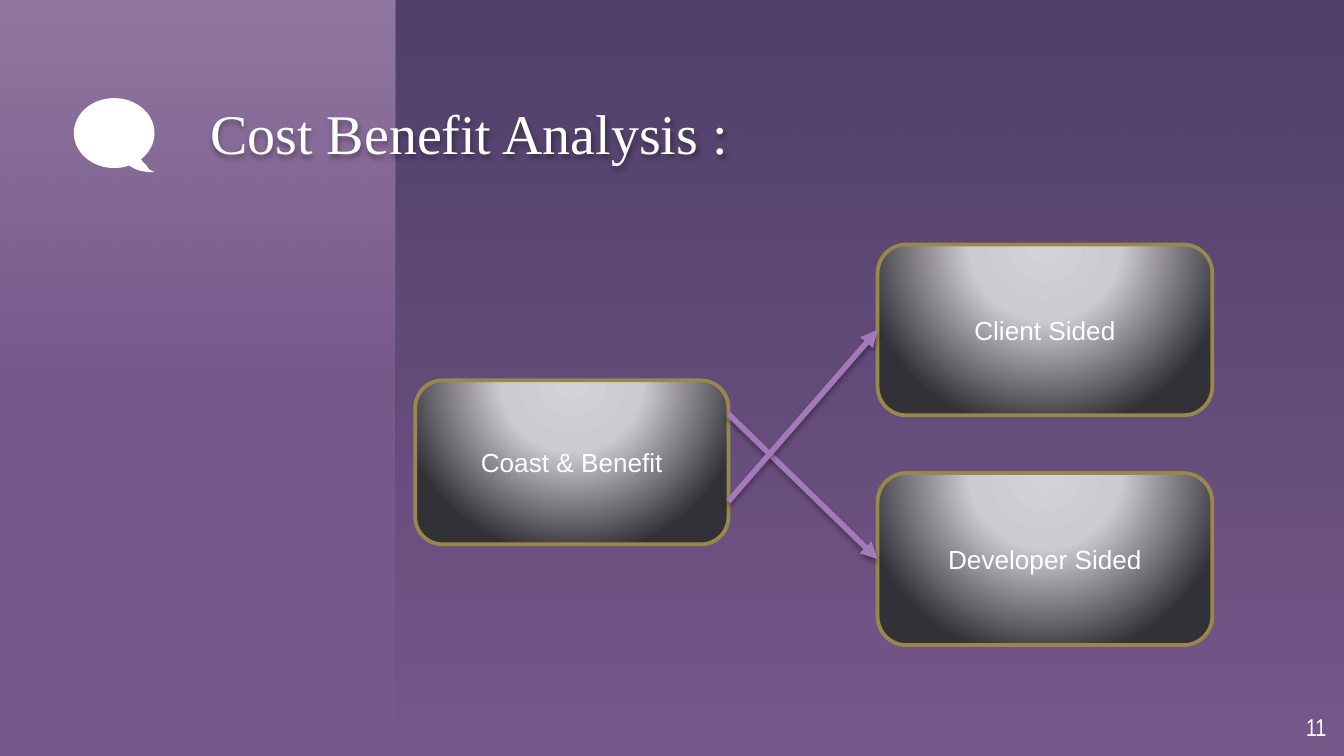
import math
from pptx import Presentation
from pptx import util as u
from pptx.dml.color import RGBColor
from pptx.enum import shapes, text
from pptx.oxml import parse_xml
from pptx.oxml.ns import nsdecls, qn

THEME = {
    "bg": "77588B", "white": "FFFFFF", "border": "98894B", "arrow": "A379BB",
    "title": ("Times New Roman", 30), "label": ("Arial", 14), "number": ("Arial Narrow", 13),
    "border_pt": 2, "arrow_pt": 3,
}
TITLE = ("Cost Benefit Analysis :", (1.15, 0.73, 4.27, 0.67))
NUMBER = ("11", (9.27, 5.19, 0.6, 0.43))
DOWN = '<a:lin ang="5400000" scaled="0"/>'
GLOW = '<a:path path="circle"><a:fillToRect l="50000" t="-80000" r="50000" b="180000"/></a:path>'
PANELS = [
    ((2.94, -0.01, 7.06, 5.64), [(0, "020F2B", 34), (100, "010C16", 0)]),
    ((-0.01, -0.01, 2.95, 2.83), [(0, "FFFFFF", 19), (100, "FFFFFF", 0)]),
]
BOX_STOPS = [(0, "D3D2D6", 100), (40, "CCCBCF", 100), (100, "333138", 100)]
BOXES = [
    ("Coast & Benefit", (3.09, 2.83, 2.33, 1.22)),
    ("Client Sided", (6.53, 1.82, 2.49, 1.27)),
    ("Developer Sided", (6.53, 3.52, 2.49, 1.28)),
]
ARROWS = [((5.42, 3.08), "Developer Sided"), ((5.42, 3.73), "Client Sided")]
BUBBLE = {"center": (0.85, 0.99), "radius": (0.3, 0.26), "arc": range(68, 409, 4)}
BUBBLE_TAIL = [(1.06, 1.2), (1.09, 1.23), (1.11, 1.26), (1.15, 1.28),
               (1.1, 1.28), (1.04, 1.27), (0.99, 1.25)]


def rgb(name):
    return RGBColor.from_string(THEME[name])


def inches(values):
    return [u.Inches(v) for v in values]


def set_gradient(sp, stops, direction):
    sp.fill.background()
    gs = "".join(
        f'<a:gs pos="{pos * 1000}"><a:srgbClr val="{color}"><a:alpha val="{alpha * 1000}"/>'
        f'</a:srgbClr></a:gs>' for pos, color, alpha in stops)
    grad = parse_xml(f'<a:gradFill {nsdecls("a")} rotWithShape="1">'
                     f'<a:gsLst>{gs}</a:gsLst>{direction}</a:gradFill>')
    spPr = sp.element.spPr
    spPr.replace(spPr.find(qn("a:noFill")), grad)


def add_shadow(sp):
    sp.element.spPr.append(parse_xml(
        f'<a:effectLst {nsdecls("a")}><a:outerShdw blurRad="{u.Pt(3.1)}" dist="{u.Pt(1.8)}" '
        'dir="5400000" rotWithShape="0"><a:srgbClr val="000000"><a:alpha val="35000"/>'
        '</a:srgbClr></a:outerShdw></a:effectLst>'))


def write(sp, words, style, align, inset=None):
    tf = sp.text_frame
    tf.word_wrap = True
    tf.auto_size = text.MSO_AUTO_SIZE.NONE
    tf.vertical_anchor = text.MSO_ANCHOR.MIDDLE
    if inset is not None:
        tf.margin_left, tf.margin_top, tf.margin_right, tf.margin_bottom = inches(inset)
    p = tf.paragraphs[0]
    p.alignment = align
    r = p.add_run()
    r.text = words
    r.font.name, size = THEME[style]
    r.font.size = u.Pt(size)
    r.font.color.rgb = rgb("white")


def add_shape(s, kind, at):
    sp = s.shapes.add_shape(kind, *inches(at))
    sp.shadow.inherit = False
    sp.line.fill.background()
    return sp


def add_bubble(s):
    (cx, cy), (rx, ry) = BUBBLE["center"], BUBBLE["radius"]
    arc = [(cx + rx * math.cos(math.radians(a)), cy + ry * math.sin(math.radians(a)))
           for a in BUBBLE["arc"]]
    points = [inches(pt) for pt in arc + BUBBLE_TAIL]
    builder = s.shapes.build_freeform(*points[0])
    builder.add_line_segments(points[1:], close=True)
    sp = builder.convert_to_shape()
    sp.shadow.inherit = False
    sp.fill.solid()
    sp.fill.fore_color.rgb = rgb("white")
    sp.line.fill.background()


def add_arrow(s, start, target):
    end = (target.left, target.top + target.height // 2)
    c = s.shapes.add_connector(shapes.MSO_CONNECTOR.STRAIGHT, *inches(start), *end)
    c.end_connect(target, 1)
    c.line.color.rgb = rgb("arrow")
    c.line.width = u.Pt(THEME["arrow_pt"])
    ln = c.element.spPr.find(qn("a:ln"))
    ln.append(parse_xml(f'<a:tailEnd {nsdecls("a")} type="triangle"/>'))
    add_shadow(c)


def main():
    prs = Presentation()
    prs.slide_width = u.Inches(10)
    prs.slide_height = prs.slide_width * 9 // 16
    s = prs.slides.add_slide(prs.slide_layouts[5])
    s.background.fill.solid()
    s.background.fill.fore_color.rgb = rgb("bg")

    for at, stops in PANELS:
        set_gradient(add_shape(s, shapes.MSO_SHAPE.RECTANGLE, at), stops, DOWN)

    words, at = TITLE
    title = s.shapes.title
    title.left, title.top, title.width, title.height = inches(at)
    write(title, words, "title", text.PP_ALIGN.RIGHT, (0, 0, 0, 0.17))
    add_shadow(title)
    title.element.getparent().append(title.element)

    words, at = NUMBER
    write(s.shapes.add_textbox(*inches(at)), words, "number", text.PP_ALIGN.RIGHT, (0, 0, 0, 0))
    add_bubble(s)

    boxes = {}
    for words, at in BOXES:
        sp = boxes[words] = add_shape(s, shapes.MSO_SHAPE.ROUNDED_RECTANGLE, at)
        set_gradient(sp, BOX_STOPS, GLOW)
        sp.line.color.rgb = rgb("border")
        sp.line.width = u.Pt(THEME["border_pt"])
        write(sp, words, "label", text.PP_ALIGN.CENTER)

    for start, target in ARROWS:
        add_arrow(s, start, boxes[target])
    prs.save("out.pptx")


if __name__ == "__main__":
    main()
